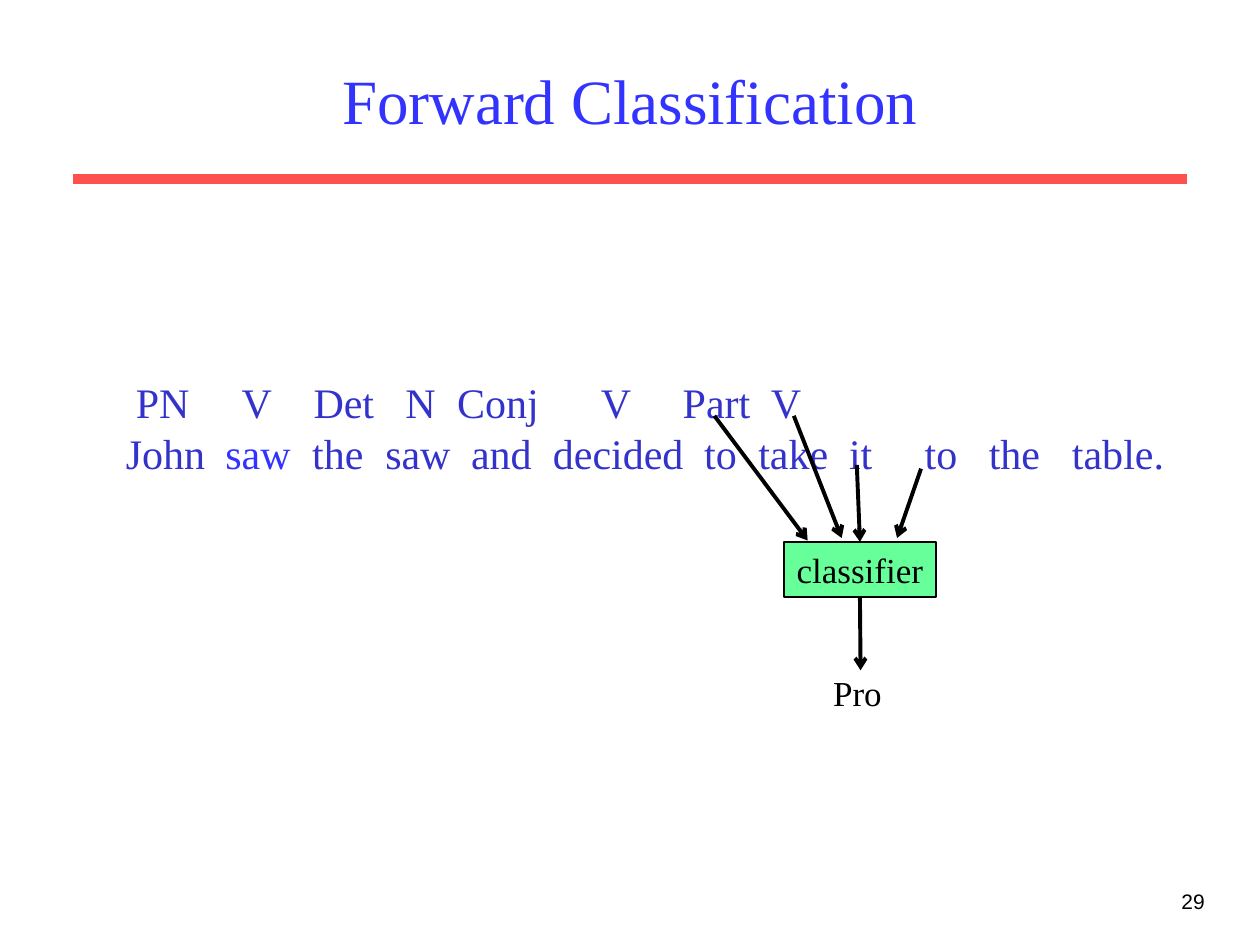
from dataclasses import dataclass
from typing import Optional

from lxml import etree
from pptx import Presentation
from pptx.dml.color import RGBColor
from pptx.enum.shapes import MSO_CONNECTOR, MSO_SHAPE
from pptx.enum.text import MSO_ANCHOR, PP_ALIGN
from pptx.oxml.ns import qn
from pptx.util import Inches, Pt

STRAIGHT = MSO_CONNECTOR.STRAIGHT
RECTANGLE = MSO_SHAPE.RECTANGLE
TOP, MIDDLE = MSO_ANCHOR.TOP, MSO_ANCHOR.MIDDLE
LEFT, CENTER, RIGHT = PP_ALIGN.LEFT, PP_ALIGN.CENTER, PP_ALIGN.RIGHT
TOP_SITE, BOTTOM_SITE = 0, 2

COLORS = {
    "rule": "FF5050",
    "title": "3333FF",
    "sentence": "3333CC",
    "classifier": "66FF99",
    "ink": "000000",
}
SERIF, SANS = "Times New Roman", "Arial"


@dataclass(frozen=True)
class Label:
    text: str
    box: tuple[float, float, float, float]
    size: int
    color: str
    font: str = SERIF
    align: PP_ALIGN = CENTER
    anchor: MSO_ANCHOR = TOP


@dataclass(frozen=True)
class Line:
    start: tuple[float, float]
    end: tuple[float, float]
    color: str = "ink"
    width: float = 2.25
    arrow: bool = True
    begin_site: Optional[int] = None
    end_site: Optional[int] = None


@dataclass(frozen=True)
class Token:
    text: str
    stop: float  # distance from the left edge of the text
    color: str = "sentence"


TITLE = Label("Forward Classification", (0.75, 0.25, 8.5, 1.08), 36, "title", anchor=MIDDLE)
PAGE_NUMBER = Label("29", (7.58, 7, 2.08, 0.5), 12, "ink", SANS, RIGHT)
CLASSIFIER = Label("classifier", (6.22, 4.3, 1.21, 0.44), 20, "ink", anchor=MIDDLE)
PREDICTED_TAG = Label("Pro", (6.42, 5.28, 0.77, 0.44), 20, "ink")

TITLE_RULE = Line((0.58, 1.42), (9.42, 1.42), "rule", 6, arrow=False)
ARROWS = [
    Line((6.3, 3.3), (6.68, 4.27)),
    Line((7.31, 3.72), (7.12, 4.27)),
    Line((6.8, 3.69), (6.82, 4.3), end_site=TOP_SITE),
    Line((6.82, 4.74), (6.83, 5.32), begin_site=BOTTOM_SITE),
    Line((5.67, 3.3), (6.41, 4.29)),
]

SENTENCE_BOX = (0.9, 2.94, 8.44, 0.9)
TAGS = [
    Token("PN", 0.08), Token("V", 0.92), Token("Det", 1.49), Token("N", 2.22),
    Token("Conj", 2.63), Token("V", 3.77), Token("Part", 4.42), Token("V", 5.12),
]
WORDS = [
    Token("John", 0), Token("saw", 0.79, "title"), Token("the", 1.48),
    Token("saw", 2.06), Token("and", 2.74), Token("decided", 3.39),
    Token("to", 4.59), Token("take", 5.02), Token("it", 5.74),
    Token("to", 6.34), Token("the", 6.85), Token("table.", 7.51),
]


def rgb(name: str) -> RGBColor:
    return RGBColor.from_string(COLORS[name])


def set_all(target, values: dict) -> None:
    for attribute, value in values.items():
        setattr(target, attribute, value)


def style_font(font, size: int, face: str, color: str) -> None:
    set_all(font, {"size": Pt(size), "name": face})
    font.color.rgb = rgb(color)


def write_label(shape, label: Label) -> None:
    frame = shape.text_frame
    set_all(frame, {"text": label.text, "word_wrap": False, "vertical_anchor": label.anchor})
    paragraph = frame.paragraphs[0]
    paragraph.alignment = label.align
    style_font(paragraph.runs[0].font, label.size, label.font, label.color)


def add_label(slide, label: Label) -> None:
    write_label(slide.shapes.add_textbox(*map(Inches, label.box)), label)


def add_box(slide, label: Label, fill: str):
    box = slide.shapes.add_shape(RECTANGLE, *map(Inches, label.box))
    box.shadow.inherit = False
    box.fill.solid()
    box.fill.fore_color.rgb = rgb(fill)
    box.line.color.rgb = rgb("ink")
    box.line.width = Pt(1)
    write_label(box, label)
    return box


def add_line(slide, line: Line, joined=None) -> None:
    connector = slide.shapes.add_connector(STRAIGHT, *map(Inches, line.start + line.end))
    connector.line.color.rgb = rgb(line.color)
    connector.line.width = Pt(line.width)
    if line.arrow:
        etree.SubElement(connector.line._get_or_add_ln(), qn("a:tailEnd"), type="arrow")
    etree.SubElement(connector._element.spPr, qn("a:effectLst"))
    if line.begin_site is not None:
        connector.begin_connect(joined, line.begin_site)
    if line.end_site is not None:
        connector.end_connect(joined, line.end_site)


def add_token_row(paragraph, tokens: list[Token]) -> None:
    paragraph.alignment = LEFT
    tab_list = etree.SubElement(paragraph._p.get_or_add_pPr(), qn("a:tabLst"))
    for token in tokens:
        if token.stop:
            etree.SubElement(tab_list, qn("a:tab"), pos=str(Inches(token.stop)), algn="l")
        run = paragraph.add_run()
        run.text = ("\t" if token.stop else "") + token.text
        style_font(run.font, 24, SERIF, token.color)


def add_sentence(slide) -> None:
    frame = slide.shapes.add_textbox(*map(Inches, SENTENCE_BOX)).text_frame
    set_all(frame, {"word_wrap": True, "margin_right": 0})
    add_token_row(frame.paragraphs[0], TAGS)
    add_token_row(frame.add_paragraph(), WORDS)


def main() -> None:
    presentation = Presentation()
    set_all(presentation, {"slide_width": Inches(10), "slide_height": Inches(7.5)})
    slide = presentation.slides.add_slide(presentation.slide_layouts[6])

    # Heading and page number
    add_line(slide, TITLE_RULE)
    add_label(slide, PAGE_NUMBER)
    add_label(slide, TITLE)

    # Tagged sentence
    add_sentence(slide)

    # Classifier with its inputs and output
    classifier = add_box(slide, CLASSIFIER, "classifier")
    add_label(slide, PREDICTED_TAG)
    for arrow in ARROWS:
        add_line(slide, arrow, classifier)

    presentation.save("out.pptx")


if __name__ == "__main__":
    main()
